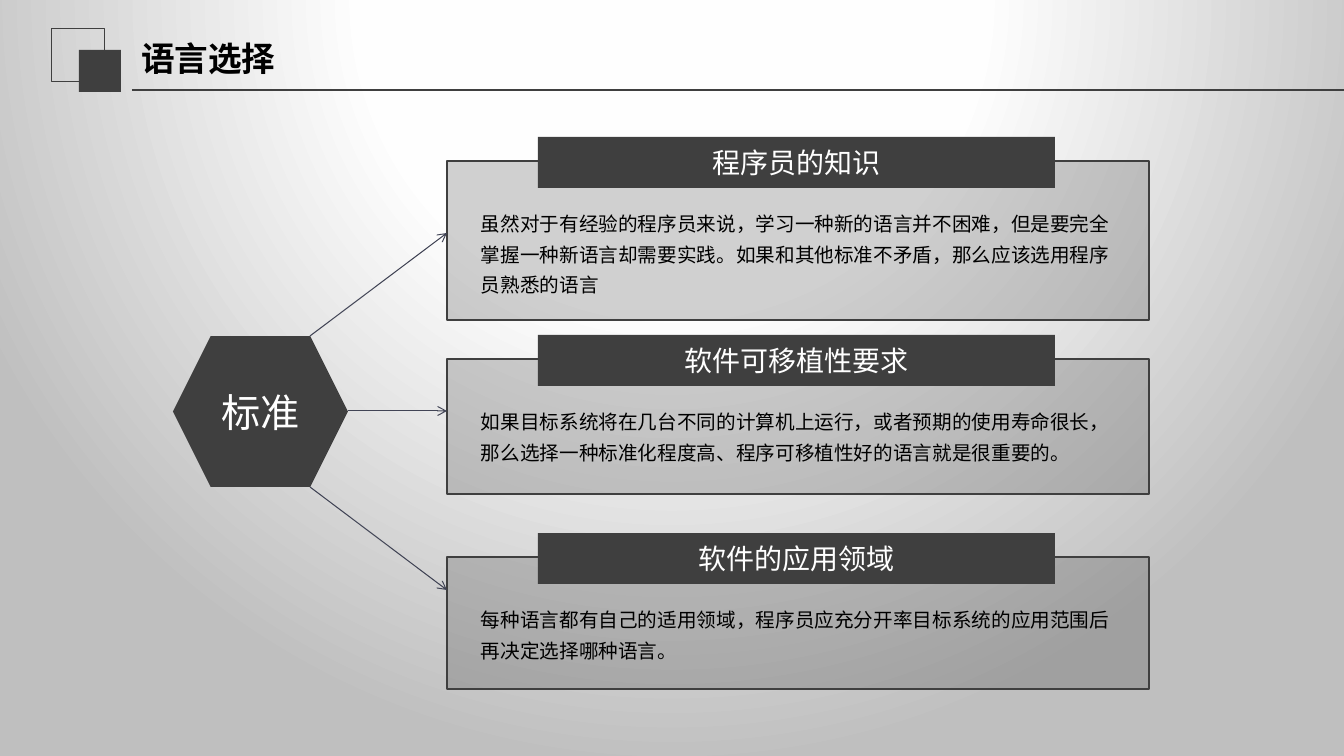
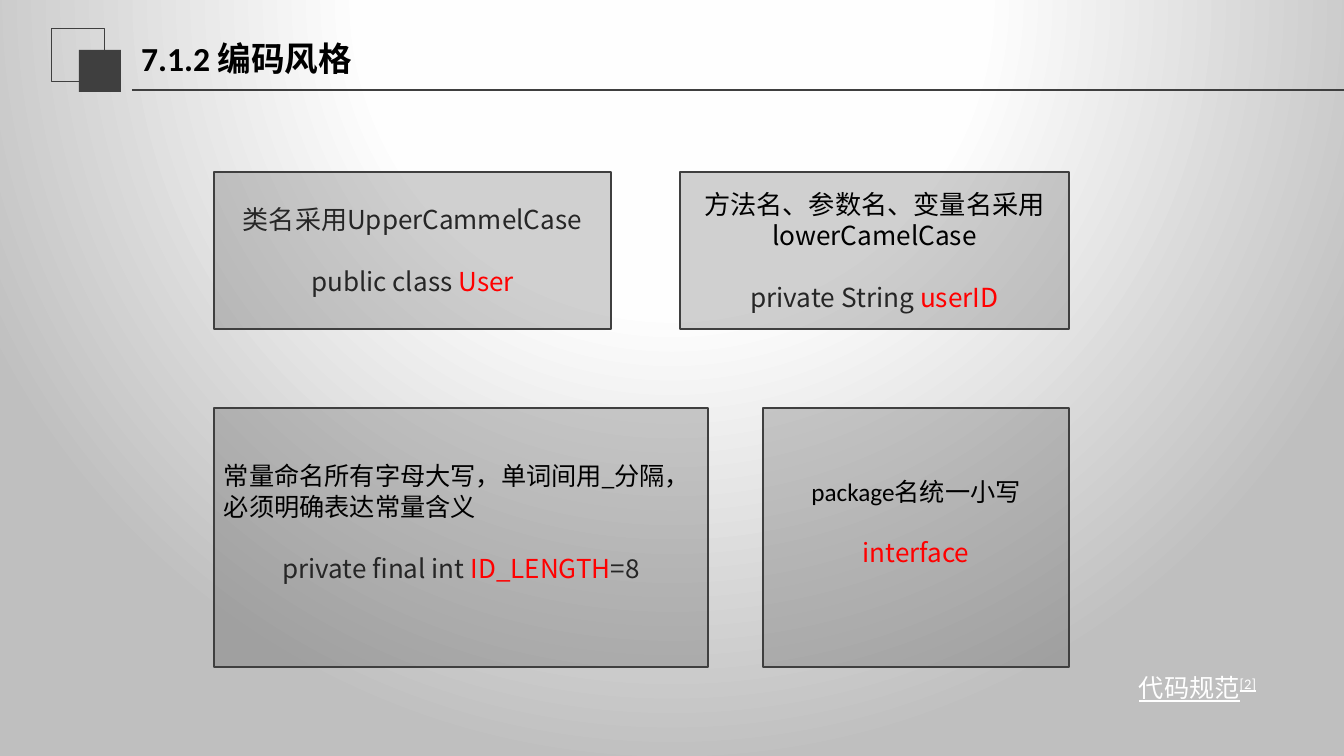
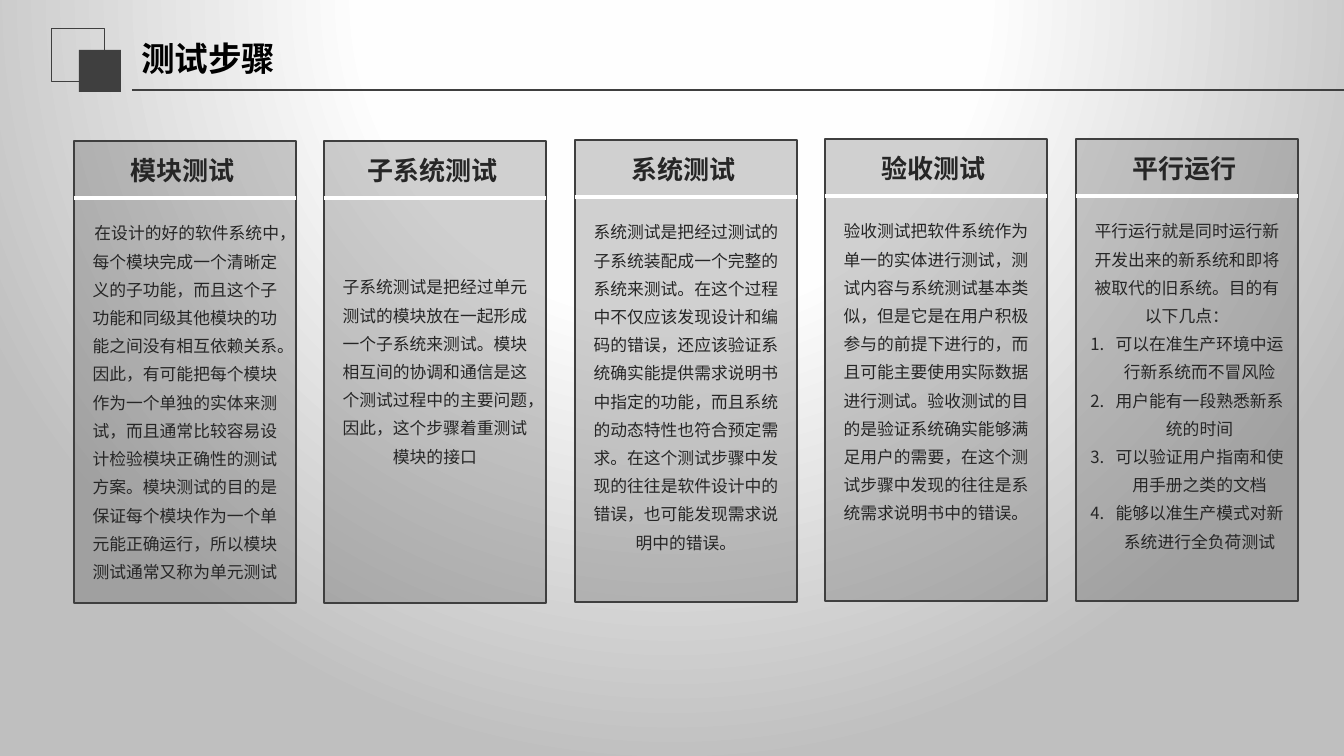
from pptx import Presentation
from pptx.dml.color import RGBColor as RGB
from pptx.enum.shapes import MSO_CONNECTOR as LINK, MSO_SHAPE as SHAPE
from pptx.enum.text import MSO_ANCHOR as ANCHOR, MSO_AUTO_SIZE as AUTO, PP_ALIGN as ALIGN
from pptx.oxml import parse_xml
from pptx.oxml.ns import nsdecls, qn
from pptx.util import Inches, Pt
from lxml.etree import SubElement as Sub

U = Inches(1) / 100.8  # EMU in one px
DARK = RGB(0x3F, 0x3F, 0x3F)
SLATE = RGB(0x41, 0x44, 0x55)
INK = RGB(0x26, 0x26, 0x26)
BLACK = RGB(0, 0, 0)
WHITE = RGB(0xFF, 0xFF, 0xFF)
RED = RGB(0xFF, 0, 0)
SANS = "Noto Sans CJK SC"
LATIN = "Calibri"


def box(slide, at, fill=None, line=None, alpha=None, kind=SHAPE.RECTANGLE):
    shape = slide.shapes.add_shape(kind, *[round(v * U) for v in at])
    shape.shadow.inherit = False
    if fill is None:
        shape.fill.background()
    else:
        shape.fill.solid()
        shape.fill.fore_color.rgb = fill
    if alpha:
        color = shape.fill._xPr.find(qn("a:solidFill"))[0]
        Sub(color, qn("a:alpha")).set("val", str(alpha * 1000))
    if line:
        shape.line.color.rgb = DARK
        shape.line.width = Pt(line)
    else:
        shape.line.fill.background()
    return shape


def put(par, text, size, color, font=SANS, bold=False):
    run = par.add_run()
    run.text = text
    run.font.size = Pt(size)
    run.font.bold = bold
    run.font.color.rgb = color
    run.font.name = font
    Sub(run.font._element, qn("a:ea")).set("typeface", SANS)
    return run


deck = Presentation()
deck.slide_width, deck.slide_height = round(1344 * U), round(756 * U)

# Shared layout: background and title place
base = deck.slide_layouts[5]
stops = "".join(
    f'<a:gs pos="{pos}000"><a:srgbClr val="{tone}"/></a:gs>'
    for pos, tone in [(0, "FFFFFF"), (40, "FEFEFE"), (100, "BFBFBF")])
base.element.cSld.insert(0, parse_xml(
    f'<p:bg {nsdecls("p", "a")}><p:bgPr><a:gradFill rotWithShape="1">'
    f'<a:gsLst>{stops}</a:gsLst><a:path path="circle">'
    '<a:fillToRect l="50000" t="-80000" r="50000" b="180000"/></a:path>'
    '</a:gradFill><a:effectLst/></p:bgPr></p:bg>'))
tree = base.shapes.element
for holder in list(base.placeholders)[1:]:
    tree.remove(holder.element)
head = base.placeholders[0]
head.left, head.top, head.width, head.height = [round(v * U) for v in (131, 29, 478, 59)]

# Slides with their titles
slides = []
for text in ["语言选择", "7.1.2 编码风格", "测试步骤"]:
    slide = deck.slides.add_slide(base)
    par = slide.shapes.title.text_frame.paragraphs[0]
    par.alignment = ALIGN.LEFT
    put(par, text, 24, BLACK, LATIN, True)
    slides.append(slide)
choice, style, tests = slides

# Title mark, moved to the layout
for mark in [box(choice, (52, 29, 53, 53), line=0.75), box(choice, (79, 50, 42, 42), DARK)]:
    tree.append(mark.element)

# Lines of all slides: slide, ends, colour, width, role
lines = [(choice, (132, 90, 1344, 90), DARK, 1.25, "frame")]

# Slide 1: criteria
cards = [
    (159, 103, "程序员的知识",
     "虽然对于有经验的程序员来说，学习一种新的语言并不困难，但是要完全掌握一种新语言却需要实践。"
     "如果和其他标准不矛盾，那么应该选用程序员熟悉的语言"),
    (135, 72, "软件可移植性要求",
     "如果目标系统将在几台不同的计算机上运行，或者预期的使用寿命很长，"
     "那么选择一种标准化程度高、程序可移植性好的语言就是很重要的。"),
    (132, 72, "软件的应用领域",
     "每种语言都有自己的适用领域，程序员应充分开率目标系统的应用范围后再决定选择哪种语言。"),
]
labels = [((173, 336, 175, 151), "标准", 28, SHAPE.HEXAGON)]
for i, (high, deep, name, text) in enumerate(cards):
    top = 161 + 198 * i
    box(choice, (447, top, 702, high), DARK, 1, 24)
    labels.append(((538, top - 24, 517, 51), name, 20, SHAPE.RECTANGLE))
    note = choice.shapes.add_textbox(*[round(v * U) for v in (471, top + 39, 667, deep)])
    note.text_frame.word_wrap = True
    par = note.text_frame.paragraphs[0]
    par.line_spacing = 1.3
    put(par, text, 14, BLACK)
for at, name, size, kind in labels:
    label = box(choice, at, DARK, kind=kind)
    par = label.text_frame.paragraphs[0]
    par.alignment = ALIGN.CENTER
    put(par, name, size, WHITE)
for ends in [(310, 336, 447, 233), (348, 411, 447, 411), (310, 487, 447, 590)]:
    lines.append((choice, ends, SLATE, 0.75, "arrow"))

# Slide 2: naming rules, each a list of aligned paragraphs of runs
MID, LEFT = ALIGN.CENTER, ALIGN.LEFT
rules = [
    ((214, 172, 397, 157), 0, [
        (MID, [("类名采用UpperCammelCase", 18.6, INK, SANS)]),
        (MID, [("public class ", 18.6, INK, SANS), ("User", 18.6, RED, SANS)])]),
    ((680, 172, 389, 157), 0, [
        (MID, [("方法名、参数名、变量名采用lowerCamelCase", 18.7, BLACK, SANS)]),
        (MID, [("private String ", 18.7, INK, SANS), ("userID", 18.7, RED, SANS)])]),
    ((214, 408, 494, 259), 31, [
        (LEFT, [("常量命名所有字母大写，单词间用_分隔，必须明确表达常量含义", 18, BLACK, LATIN)]),
        (MID, [("private final int ", 18.6, INK, SANS), ("ID_LENGTH", 18.6, RED, SANS),
               ("=8", 18.6, INK, SANS)])]),
    ((763, 408, 306, 259), 31, [
        (MID, [("package名统一小写", 18, BLACK, LATIN)]),
        (MID, [("interface", 18.6, RED, SANS)])]),
]
for at, lift, pars in rules:
    frame = box(style, at, DARK, 1, 24).text_frame
    frame.margin_bottom = round((5 + lift) * U)
    for i, (align, runs) in enumerate(pars):
        par = frame.add_paragraph() if i else frame.paragraphs[0]
        par.alignment = align
        par.space_before = Pt(22 * i)
        for run in runs:
            put(par, *run)

# Source reference
ref = style.shapes.add_textbox(*[round(v * U) for v in (1124, 667, 147, 40)])
ref.text_frame.word_wrap = False
par = ref.text_frame.paragraphs[0]
par.alignment = MID
for text, raise_by in [("代码规范", 0), ("[2]", 30)]:
    run = put(par, text, 18, WHITE, LATIN)
    run.font.underline = True
    if raise_by:
        run.font._element.set("baseline", str(raise_by * 1000))

# Slide 3: test steps; the paragraphs after the first are numbered
steps = [
    (141, 74, "模块测试", [
        " 在设计的好的软件系统中，每个模块完成一个清晰定义的子功能，而且这个子功能和同级其他模块的功能之间没有相互依赖关系。"
        "因此，有可能把每个模块作为一个单独的实体来测试，而且通常比较容易设计检验模块正确性的测试方案。"
        "模块测试的目的是保证每个模块作为一个单元能正确运行，所以模块测试通常又称为单元测试"]),
    (141, 128, "子系统测试", [
        "子系统测试是把经过单元测试的模块放在一起形成一个子系统来测试。"
        "模块相互间的协调和通信是这个测试过程中的主要问题，因此，这个步骤着重测试模块的接口"]),
    (140, 74, "系统测试", [
        "系统测试是把经过测试的子系统装配成一个完整的系统来测试。"
        "在这个过程中不仅应该发现设计和编码的错误，还应该验证系统确实能提供需求说明书中指定的功能，"
        "而且系统的动态特性也符合预定需求。"
        "在这个测试步骤中发现的往往是软件设计中的错误，也可能发现需求说明中的错误。"]),
    (139, 74, "验收测试", [
        "验收测试把软件系统作为单一的实体进行测试，测试内容与系统测试基本类似，"
        "但是它是在用户积极参与的前提下进行的，而且可能主要使用实际数据进行测试。"
        "验收测试的目的是验证系统确实能够满足用户的需要，"
        "在这个测试步骤中发现的往往是系统需求说明书中的错误。"]),
    (139, 74, "平行运行", [
        "平行运行就是同时运行新开发出来的新系统和即将被取代的旧系统。目的有以下几点：",
        "可以在准生产环境中运行新系统而不冒风险",
        "用户能有一段熟悉新系统的时间",
        "可以验证用户指南和使用手册之类的文档",
        "能够以准生产模式对新系统进行全负荷测试"]),
]
for i, (top, drop, name, body) in enumerate(steps):
    left = 74 + 501 * i // 2
    box(tests, (left, top, 222, 462), DARK, 1, 24)
    lines.append((tests, (left, top + 57, left + 222, top + 57), WHITE, 3, "rule"))
    parts = [((left + 4, top + 13, 222, 31), 0, [name], 18.6, INK, True, 1),
             ((left, top + drop, 222, 370 - drop), 13, body, 12, INK, False, 1.4)]
    for at, inset, texts, size, color, bold, pitch in parts:
        frame = tests.shapes.add_textbox(*[round(v * U) for v in at]).text_frame
        frame.word_wrap = True
        frame.auto_size = AUTO.SHAPE_TO_FIT_TEXT
        frame.vertical_anchor = ANCHOR.TOP
        frame.margin_top = frame.margin_bottom = 0
        frame.margin_left, frame.margin_right = round(inset * U), round(13 * U)
        for k, text in enumerate(texts):
            par = frame.add_paragraph() if k else frame.paragraphs[0]
            par.alignment = MID
            par.line_spacing = pitch
            put(par, text, size, color, SANS, bold)
            if k:
                prop = par._p.get_or_add_pPr()
                prop.set("marL", str(Inches(0.25)))
                prop.set("indent", str(-Inches(0.25)))
                Sub(prop, qn("a:buAutoNum")).set("type", "arabicPeriod")

# Draw the lines
for slide, ends, color, width, role in lines:
    link = slide.shapes.add_connector(LINK.STRAIGHT, *[round(v * U) for v in ends])
    link.line.color.rgb = color
    link.line.width = Pt(width)
    if role == "arrow":
        Sub(link.line._get_or_add_ln(), qn("a:tailEnd")).set("type", "arrow")
    Sub(link.element.spPr, qn("a:effectLst"))
    if role == "frame":
        tree.append(link.element)

deck.save("out.pptx")
